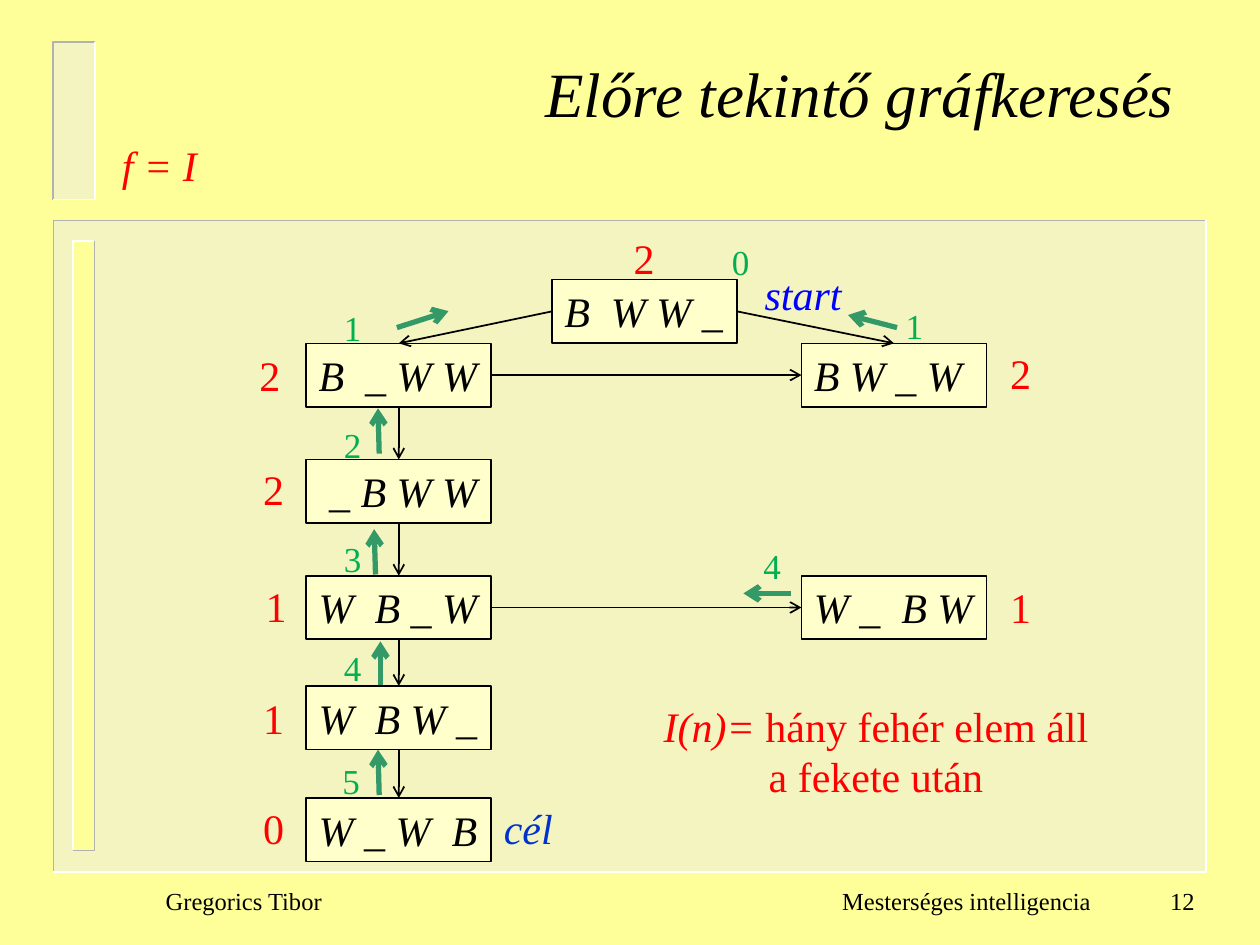
from dataclasses import dataclass

from lxml import etree
from pptx import Presentation
from pptx.dml.color import RGBColor
from pptx.enum import shapes, text
from pptx.oxml import ns
from pptx.util import Pt

FONT = "Times New Roman"
BLACK, WHITE, GREY = "000000", "FFFFFF", "B2B2B2"
RED, GREEN, DARK_GREEN = "FF0000", "00B050", "339966"
PAGE, PANEL, NODE = "FFFF99", "EAEAEA", "FFFFCC"
NODE_W, NODE_H = 105.8, 36.3
LEFT_X, START_X, RIGHT_X = 175, 315.4, 458
TOP, LEFT, BOTTOM, RIGHT = range(4)


@dataclass
class Panel:
    x: float
    y: float
    w: float
    h: float
    fill: str
    upper: str
    lower: str
    alpha: int = 100


@dataclass
class Node:
    name: str
    label: str
    x: float
    y: float


@dataclass
class Edge:
    source: str
    source_side: int
    target: str
    target_side: int


@dataclass
class Arrow:
    x1: float
    y1: float
    x2: float
    y2: float


@dataclass
class Label:
    text: str
    x: float
    y: float
    w: float = 26.6
    h: float = 36
    size: float = 24
    color: str = RED
    italic: bool = False
    align: text.PP_ALIGN = text.PP_ALIGN.LEFT


PANELS = [
    Panel(30.5, 126, 658.8, 372.2, PANEL, GREY, WHITE, 50),
    Panel(41.8, 137.8, 12.2, 348.2, PAGE, WHITE, GREY),
    Panel(30.2, 24, 24, 90, PANEL, GREY, WHITE, 50),
]
NODES = [
    Node("start", "B  W W _", START_X, 159.8),
    Node("left", "B  _ W W", LEFT_X, 196.2),
    Node("right", "B W _ W ", RIGHT_X, 196.2),
    Node("second", " _ B W W", LEFT_X, 262.6),
    Node("third", "W  B _ W", LEFT_X, 329),
    Node("side", "W _  B W", RIGHT_X, 329),
    Node("fourth", "W  B W _", LEFT_X, 392),
    Node("goal", "W _ W  B", LEFT_X, 456),
]
CHAIN = ["left", "second", "third", "fourth", "goal"]
EDGES = [
    Edge("start", LEFT, "left", TOP),
    Edge("start", RIGHT, "right", TOP),
    *(Edge(a, BOTTOM, b, TOP) for a, b in zip(CHAIN, CHAIN[1:])),
    Edge("third", RIGHT, "side", LEFT),
    Edge("left", RIGHT, "right", LEFT),
]
BACK_ARROWS = [
    Arrow(226.8, 187.2, 256.3, 177.8),
    Arrow(512.6, 187.2, 484.6, 180),
    Arrow(452.2, 339.1, 424.8, 339.1),
    Arrow(216.7, 259.2, 216, 233.3),
    Arrow(214.6, 328.3, 213.8, 302.4),
    Arrow(216.7, 454.3, 216, 428.4),
    Arrow(217.4, 391.7, 217.4, 366.5),
]
VALUES = [
    Label(*v) for v in [
        ("2", 355, 129.6), ("2", 141.1, 196), ("2", 143.3, 261.4), ("2", 570.2, 195.1),
        ("1", 144.7, 328.3), ("1", 570.2, 329), ("1", 143.3, 392.4), ("0", 143.3, 455),
    ]
]
DEPTHS = [
    Label(t, x, y, 24.5, 31.7, 20, GREEN) for t, x, y in [
        ("1", 189.4, 171.4), ("2", 189.4, 238.3), ("3", 189.4, 303.8), ("4", 189.4, 365.8),
        ("5", 188.6, 430.6), ("1", 510.5, 170.6), ("0", 411.1, 133.9), ("4", 429.1, 307.4),
    ]
]
CAPTIONS = [
    Label("start", 429.8, 149.8, 59, color="0000FF", italic=True),
    Label("cél", 280.8, 455, 42.5, color="0033CC", italic=True),
    Label("f = I", 62.6, 76.3, 57.6, italic=True),
    Label("Gregorics Tibor", 87.6, 503, 110, 28, 14, BLACK),
    Label("Mesterséges intelligencia", 474, 503, 156.6, 28, 14, BLACK,
          align=text.PP_ALIGN.RIGHT),
    Label("12", 640, 503, 49.8, 28, 14, BLACK, align=text.PP_ALIGN.RIGHT),
]


def rgb(color: str) -> RGBColor:
    return RGBColor.from_string(color)


def add_run(p, content: str, size: float, color: str, italic: bool = False) -> None:
    r = p.add_run()
    r.text = content
    r.font.name, r.font.size, r.font.italic = FONT, Pt(size), italic
    r.font.color.rgb = rgb(color)


def draw_edge_line(s, points: list[tuple[float, float]], color: str) -> None:
    first, *rest = [(Pt(x), Pt(y)) for x, y in points]
    builder = s.shapes.build_freeform(*first)
    builder.add_line_segments(rest, close=False)
    sp = builder.convert_to_shape()
    sp.shadow.inherit = False
    sp.fill.background()
    sp.line.color.rgb, sp.line.width = rgb(color), Pt(1)


def draw_panel(s, a: Panel) -> None:
    sp = s.shapes.add_shape(shapes.MSO_SHAPE.RECTANGLE, Pt(a.x), Pt(a.y), Pt(a.w), Pt(a.h))
    sp.shadow.inherit = False
    sp.fill.solid()
    sp.fill.fore_color.rgb = rgb(a.fill)
    sp.line.fill.background()
    if a.alpha < 100:
        color = sp._element.spPr.find(".//" + ns.qn("a:srgbClr"))
        etree.SubElement(color, ns.qn("a:alpha"), val=str(a.alpha * 1000))
    right, bottom = a.x + a.w, a.y + a.h
    draw_edge_line(s, [(right, a.y), (a.x, a.y), (a.x, bottom)], a.upper)
    draw_edge_line(s, [(right, a.y), (right, bottom), (a.x, bottom)], a.lower)


def draw_node(s, n: Node):
    sp = s.shapes.add_shape(shapes.MSO_SHAPE.RECTANGLE, Pt(n.x), Pt(n.y), Pt(NODE_W), Pt(NODE_H))
    sp.shadow.inherit = False
    sp.fill.solid()
    sp.fill.fore_color.rgb = rgb(NODE)
    sp.line.color.rgb, sp.line.width = rgb(BLACK), Pt(1)
    tf = sp.text_frame
    tf.word_wrap, tf.vertical_anchor = False, text.MSO_ANCHOR.TOP
    p = tf.paragraphs[0]
    p.alignment = text.PP_ALIGN.LEFT
    add_run(p, n.label, 24, BLACK, True)
    return sp


def draw_arrow(s, a: Arrow, color: str, width: float):
    line = s.shapes.add_connector(shapes.MSO_CONNECTOR.STRAIGHT,
                                  Pt(a.x1), Pt(a.y1), Pt(a.x2), Pt(a.y2))
    line.line.color.rgb, line.line.width = rgb(color), Pt(width)
    etree.SubElement(line.line._get_or_add_ln(), ns.qn("a:tailEnd"), type="arrow")
    etree.SubElement(line._element.spPr, ns.qn("a:effectLst"))
    return line


def draw_label(s, a: Label) -> None:
    tf = s.shapes.add_textbox(Pt(a.x), Pt(a.y), Pt(a.w), Pt(a.h)).text_frame
    tf.word_wrap = False
    p = tf.paragraphs[0]
    p.alignment = a.align
    add_run(p, a.text, a.size, a.color, a.italic)


def draw_title(s, content: str) -> None:
    sp = s.shapes.title
    sp.left, sp.top, sp.width, sp.height = Pt(66.2), Pt(27.4), Pt(612), Pt(87)
    tf = sp.text_frame
    tf.vertical_anchor = text.MSO_ANCHOR.TOP
    p = tf.paragraphs[0]
    p.alignment = text.PP_ALIGN.RIGHT
    add_run(p, content, 36, BLACK, True)


def draw_definition(s) -> None:
    tf = s.shapes.add_textbox(Pt(372.2), Pt(396.7), Pt(324), Pt(65.5)).text_frame
    tf.word_wrap = True
    p = tf.paragraphs[0]
    add_run(p, "I(n)= ", 24, RED, True)
    add_run(p, "hány fehér elem áll", 24, RED)
    p = tf.add_paragraph()
    p._p.get_or_add_pPr().set("marL", str(Pt(60)))
    add_run(p, "a fekete után", 24, RED)


prs = Presentation()
prs.slide_width, prs.slide_height = Pt(720), Pt(540)
s = prs.slides.add_slide(prs.slide_layouts[5])
s.background.fill.solid()
s.background.fill.fore_color.rgb = rgb(PAGE)
for panel in PANELS:
    draw_panel(s, panel)
draw_title(s, "Előre tekintő gráfkeresés")
nodes = {n.name: draw_node(s, n) for n in NODES}
for edge in EDGES:
    line = draw_arrow(s, Arrow(0, 0, 0, 0), BLACK, 1)
    line.begin_connect(nodes[edge.source], edge.source_side)
    line.end_connect(nodes[edge.target], edge.target_side)
for arrow in BACK_ARROWS:
    draw_arrow(s, arrow, DARK_GREEN, 3)
for label in VALUES + DEPTHS + CAPTIONS:
    draw_label(s, label)
draw_definition(s)
prs.save("out.pptx")
